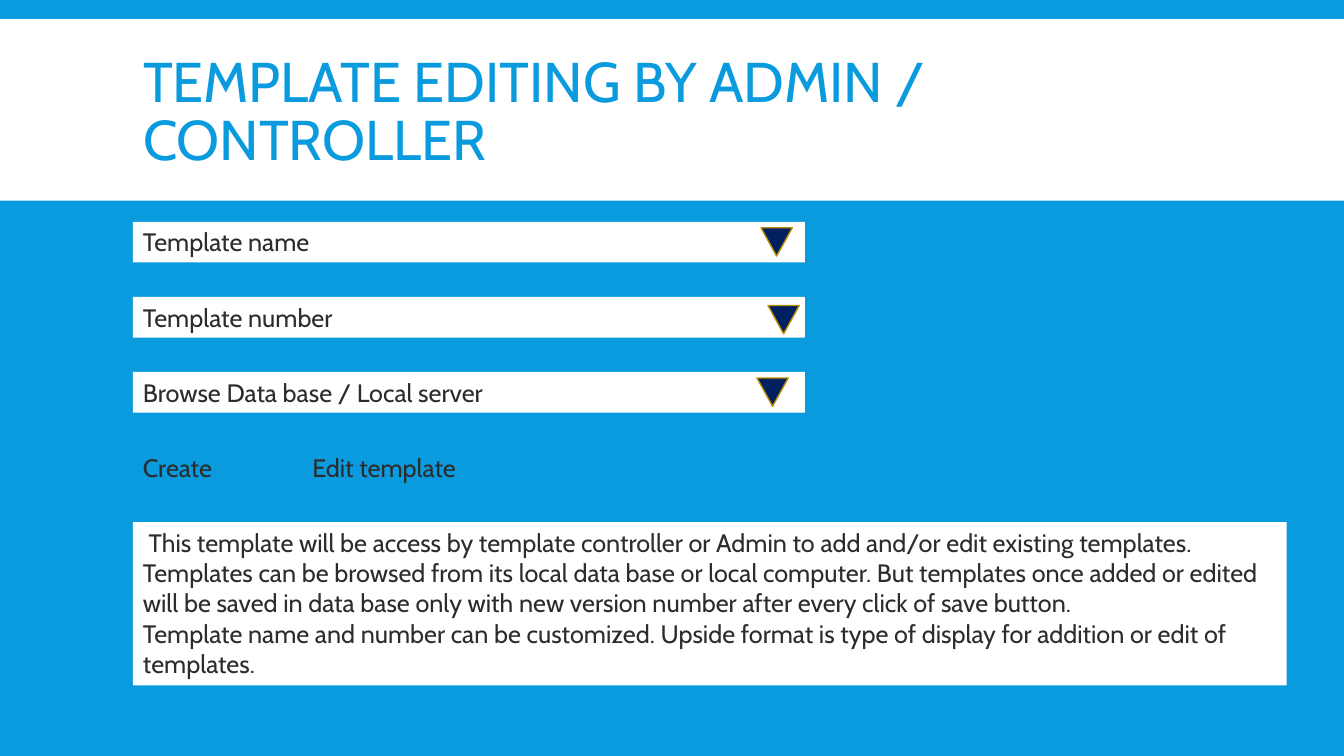
from dataclasses import dataclass

from pptx import Presentation
from pptx.dml.color import RGBColor
from pptx.enum.shapes import MSO_SHAPE
from pptx.enum.text import MSO_ANCHOR, MSO_AUTO_SIZE, PP_ALIGN
from pptx.shapes.autoshape import Shape
from pptx.slide import Slide
from pptx.util import Pt

RECT = MSO_SHAPE.RECTANGLE
MERGE = MSO_SHAPE.FLOWCHART_MERGE
LEFT = PP_ALIGN.LEFT
TOP, MIDDLE = MSO_ANCHOR.TOP, MSO_ANCHOR.MIDDLE
FIXED = MSO_AUTO_SIZE.NONE

COLORS = {
    "blue": "099BDD",
    "white": "FFFFFF",
    "ink": "2C2C2C",
    "navy": "002060",
    "gold": "BD8E00",
}
FONT = "Cabin"
EDGE = 95
WIDE = 824
FIRST = 158.4
STEP = 53.65
ROW = 29.1


@dataclass
class Box:
    x: float
    y: float
    w: float
    h: float


@dataclass
class Field:
    text: str
    mark: Box


@dataclass
class Label:
    text: str
    x: float


FIELDS = [
    Field("Template name", Box(543.6, 162.7, 22.3, 20.2)),
    Field("Template number", Box(548.6, 218.2, 22.3, 20.2)),
    Field("Browse Data base / Local server", Box(540.7, 270, 22.3, 20.2)),
]
LABELS = [Label("Create", EDGE), Label("Edit template", 216)]
NOTES = [
    " This template will be access by template controller or Admin to add and/or edit "
    "existing templates. Templates can be browsed from its local data base or local "
    "computer. But templates once added or edited will be saved in data base only with "
    "new version number after every click of save button.",
    "Template name and number can be customized. Upside format is type of display for "
    "addition or edit of templates.",
]


def color(name: str) -> RGBColor:
    return RGBColor.from_string(COLORS[name])


def place(shape: Shape, box: Box) -> None:
    shape.left, shape.top = Pt(box.x), Pt(box.y)
    shape.width, shape.height = Pt(box.w), Pt(box.h)


def write(shape: Shape, lines: list[str], size: float, ink: str, anchor: MSO_ANCHOR) -> None:
    frame = shape.text_frame
    frame.text = "\n".join(lines)
    frame.word_wrap = True
    frame.auto_size = FIXED
    frame.vertical_anchor = anchor
    for para in frame.paragraphs:
        para.alignment = LEFT
        for run in para.runs:
            run.font.name = FONT
            run.font.size = Pt(size)
            run.font.color.rgb = color(ink)


def draw(slide: Slide, kind: MSO_SHAPE, box: Box, fill: str, line: str = "") -> Shape:
    shape = slide.shapes.add_shape(kind, Pt(box.x), Pt(box.y), Pt(box.w), Pt(box.h))
    shape.shadow.inherit = False
    shape.fill.solid()
    shape.fill.fore_color.rgb = color(fill)
    if line:
        shape.line.color.rgb = color(line)
        shape.line.width = Pt(1)
    else:
        shape.line.fill.background()
    return shape


def head(slide: Slide) -> None:
    band = draw(slide, RECT, Box(0, 13.7, 960, 129.6), "white")
    title = slide.shapes.title
    title.element.addprevious(band.element)
    place(title, Box(EDGE, 22.3, WIDE, 118.8))
    write(title, ["TEMPLATE EDITING BY ADMIN / CONTROLLER"], 40, "blue", MIDDLE)
    title.text_frame.paragraphs[0].line_spacing = 0.85


def form(slide: Slide) -> None:
    for i, field in enumerate(FIELDS):
        bar = draw(slide, RECT, Box(EDGE, FIRST + i * STEP, 480, ROW), "white")
        write(bar, [field.text], 18, "ink", TOP)
        draw(slide, MERGE, field.mark, "navy", "gold")
    y = FIRST + len(FIELDS) * STEP
    for label in LABELS:
        text = slide.shapes.add_textbox(Pt(label.x), Pt(y), Pt(118.8), Pt(ROW))
        write(text, [label.text], 18, "ink", TOP)
    note = draw(slide, RECT, Box(EDGE, y + STEP, WIDE, 116.6), "white")
    write(note, NOTES, 18, "ink", TOP)


def main() -> None:
    deck = Presentation()
    deck.slide_width, deck.slide_height = Pt(960), Pt(540)
    slide = deck.slides.add_slide(deck.slide_layouts.get_by_name("Title Only"))
    slide.background.fill.solid()
    slide.background.fill.fore_color.rgb = color("blue")
    head(slide)
    form(slide)
    deck.save("out.pptx")


if __name__ == "__main__":
    main()
